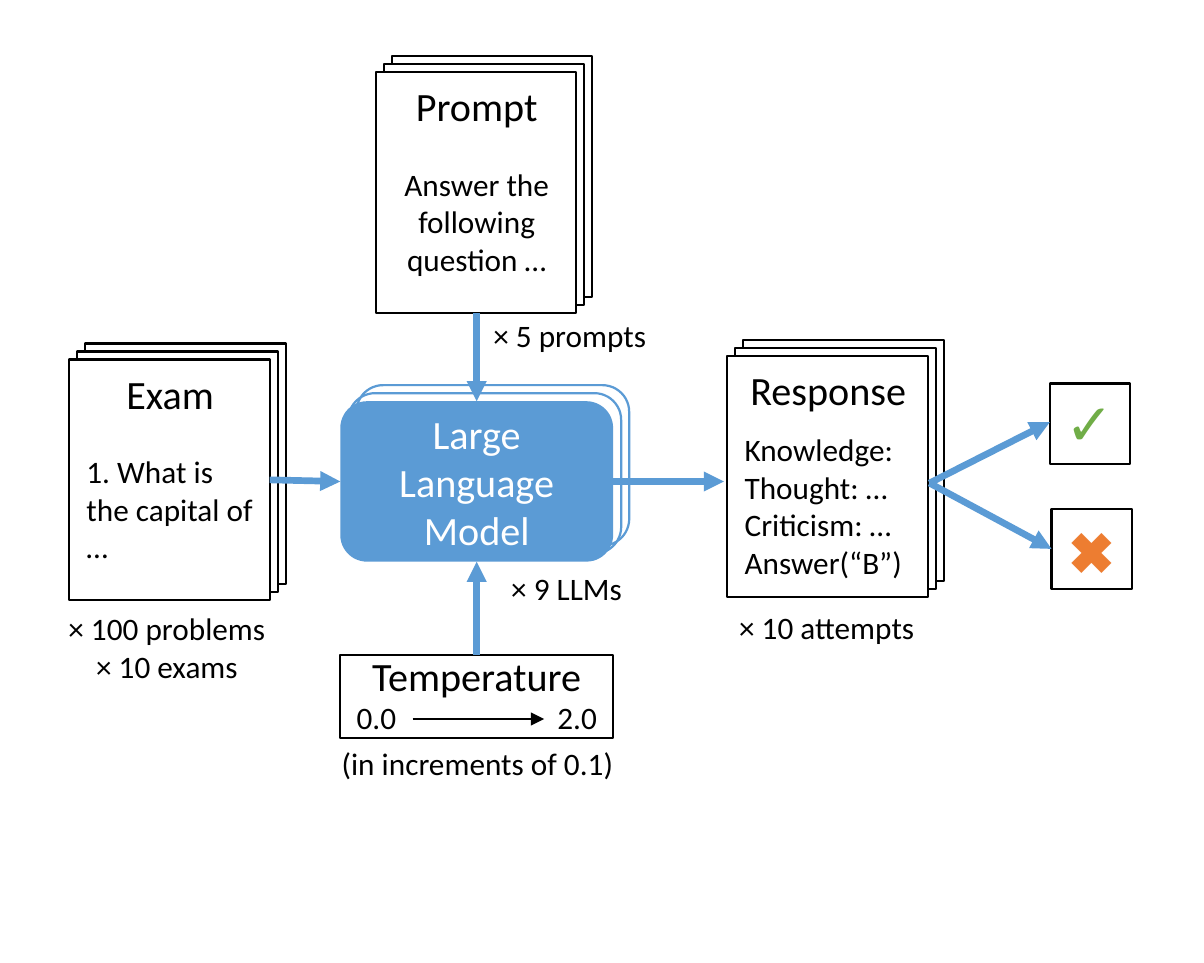
from dataclasses import dataclass
from lxml.etree import SubElement
from pptx import Presentation
from pptx.dml.color import RGBColor
from pptx.enum.shapes import MSO_CONNECTOR, MSO_SHAPE
from pptx.enum.text import MSO_ANCHOR, PP_ALIGN
from pptx.oxml.ns import qn
from pptx.util import Inches, Pt


@dataclass(frozen=True)
class Theme:
    black: str = "000000"
    white: str = "FFFFFF"
    blue: str = "5B9BD5"
    green: str = "70AD47"
    orange: str = "ED7D31"
    head: int = 18
    body: int = 14
    mark: int = 26
    thin: float = 1
    thick: float = 3
    font: str = "Calibri"
    mono: str = "Noto Sans Mono"


theme = Theme()
deck = Presentation()
deck.slide_width, deck.slide_height = Inches(7.5), Inches(6)
slide = deck.slides.add_slide(deck.slide_layouts[6])
RECT, ROUND = MSO_SHAPE.RECTANGLE, MSO_SHAPE.ROUNDED_RECTANGLE
LEFT, CENTER = PP_ALIGN.LEFT, PP_ALIGN.CENTER


def put(text, area, kind=None, fill=None, line=None, size=theme.body,
        color=theme.black, font=theme.font, bold=False, align=CENTER,
        middle=False, inset=(0.1, 0.05)):
    """Place text on the slide, inside a preset shape if a kind is given."""
    place = [Inches(n) for n in area]
    if kind is None:
        item = slide.shapes.add_textbox(*place)
    else:
        item = slide.shapes.add_shape(kind, *place)
        item.shadow.inherit = False
        if fill:
            item.fill.solid()
            item.fill.fore_color.rgb = RGBColor.from_string(fill)
        else:
            item.fill.background()
        if line:
            item.line.color.rgb = RGBColor.from_string(line)
            item.line.width = Pt(theme.thin)
        else:
            item.line.fill.background()
    if not text:
        return
    frame = item.text_frame
    frame.word_wrap = True
    frame.vertical_anchor = MSO_ANCHOR.MIDDLE if middle else MSO_ANCHOR.TOP
    frame.margin_left = frame.margin_right = Inches(inset[0])
    frame.margin_top = frame.margin_bottom = Inches(inset[1])
    frame.text = text
    for para in frame.paragraphs:
        para.alignment = align
        for run in para.runs:
            run.font.size, run.font.bold = Pt(size), bold
            run.font.name = font
            run.font.color.rgb = RGBColor.from_string(color)


def link(start, end, color=theme.blue, width=theme.thick):
    """Draw a straight arrow from start to end."""
    ends = [Inches(n) for n in (*start, *end)]
    arrow = slide.shapes.add_connector(MSO_CONNECTOR.STRAIGHT, *ends)
    arrow.line.color.rgb = RGBColor.from_string(color)
    arrow.line.width = Pt(width)
    SubElement(arrow.line._get_or_add_ln(), qn("a:tailEnd"), type="triangle")
    SubElement(arrow._element.spPr, qn("a:effectLst"))


# Stacks of pages: title, body, left, top, body alignment
pages = [
    ("Prompt", "Answer the following question …", 2.34, 0.45, CENTER),
    ("Exam", "1. What is the capital of …", 0.43, 2.24, LEFT),
    ("Response", "Knowledge:\nThought: …\nCriticism: …\nAnswer(“B”)",
     4.53, 2.22, LEFT),
]
for title, body, x, y, align in pages:
    for step in (2, 1, 0):
        put("", (x + 0.05 * step, y - 0.05 * step, 1.25, 1.5), RECT,
            fill=theme.white, line=theme.black)
    put(title, (x, y + 0.01, 1.26, 0.4), size=theme.head)
    put(body, (x + 0.01, y + 0.36, 1.24, 1.14), align=align, middle=True)

# Stack of models
for step in (2, 1):
    put("", (2.12 + 0.05 * step, 2.5 - 0.05 * step, 1.7, 1), ROUND,
        line=theme.blue)
put("Large\vLanguage\vModel", (2.12, 2.5, 1.7, 1), ROUND, fill=theme.blue,
    size=theme.head, color=theme.white, middle=True)

# Temperature box with its range
put("", (2.12, 4.08, 1.7, 0.52), RECT, fill=theme.white, line=theme.black)
put("Temperature", (2.12, 4.01, 1.7, 0.4), size=theme.head)
for text, x in (("0.0", 2.12), ("2.0", 3.37)):
    put(text, (x, 4.34, 0.45, 0.26), middle=True, inset=(0, 0.05))
link((2.57, 4.48), (3.39, 4.48), theme.black, theme.thin)

# Right and wrong marks
marks = [
    ("✓", 6.54, 2.39, 0.02, theme.green, theme.font, True),
    ("✖", 6.55, 3.17, 0.04, theme.orange, theme.mono, False),
]
for sign, x, y, drop, color, font, bold in marks:
    put(sign, (x, y + drop, 0.5, 0.44), size=theme.mark, color=color,
        font=font, bold=bold, middle=True, inset=(0, 0))
    put("", (x, y, 0.5, 0.5), RECT, line=theme.black)

# Flow arrows
flow = [
    ((1.68, 2.99), (2.12, 3)),
    ((2.97, 1.95), (2.97, 2.5)),
    ((2.97, 4.08), (2.97, 3.5)),
    ((3.82, 3), (4.51, 3)),
    ((5.79, 3.01), (6.54, 2.63)),
    ((5.79, 3.01), (6.55, 3.42)),
]
for start, end in flow:
    link(start, end)

# Counts beside the parts
notes = [
    ("× 100 problems\n× 10 exams", (0.3, 3.75, 1.48, 0.57)),
    ("× 5 prompts", (2.93, 1.92, 1.24, 0.34)),
    ("× 9 LLMs", (2.88, 3.5, 1.3, 0.34)),
    ("(in increments of 0.1)", (1.69, 4.59, 2.57, 0.34)),
    ("× 10 attempts", (4.46, 3.74, 1.38, 0.34)),
]
for text, area in notes:
    put(text, area)

deck.save("out.pptx")
